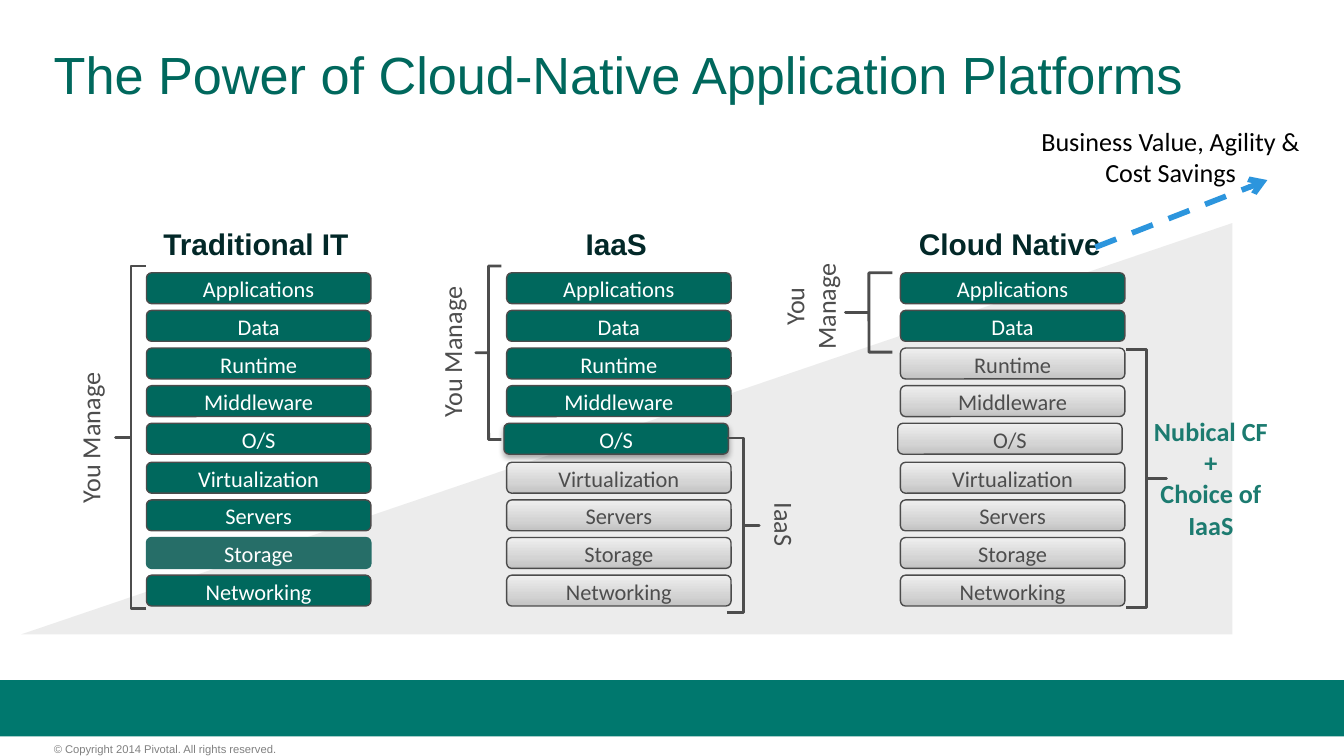
from lxml import etree
from pptx import Presentation
from pptx import util as u
from pptx.dml.color import RGBColor
from pptx.enum import dml, shapes, text
from pptx.oxml import ns, parse_xml

PX = 9144  # EMU per px, 100 px to the inch
SLIDE_WIDTH = 1000 * PX
SLIDE_HEIGHT = SLIDE_WIDTH * 9 // 16

TEAL = RGBColor(0x00, 0x68, 0x5D)
SOFT_TEAL = RGBColor(0x26, 0x6E, 0x68)
BAR_TEAL = RGBColor(0x00, 0x78, 0x6E)
LABEL_TEAL = RGBColor(0x1C, 0x7B, 0x70)
HEADING = RGBColor(0x02, 0x28, 0x28)
DARK = RGBColor(0x4D, 0x4D, 0x4D)
BORDER = RGBColor(0x4B, 0x4B, 0x4B)
GREY = RGBColor(0x80, 0x80, 0x80)
BLUE = RGBColor(0x2C, 0x95, 0xDD)
WHITE = RGBColor(0xFF, 0xFF, 0xFF)
BLACK = RGBColor(0x00, 0x00, 0x00)

LAYERS = ["Applications", "Data", "Runtime", "Middleware", "O/S",
          "Virtualization", "Servers", "Storage", "Networking"]
BLOCK_HEIGHT = 23

GRADIENT = f"""<a:gradFill {ns.nsdecls('a')} rotWithShape="1"><a:gsLst>
<a:gs pos="0"><a:srgbClr val="C2C2C2"/></a:gs>
<a:gs pos="35000"><a:srgbClr val="D4D4D4"/></a:gs>
<a:gs pos="100000"><a:srgbClr val="EFEFEF"/></a:gs>
</a:gsLst><a:lin ang="16200000" scaled="0"/></a:gradFill>"""
SHADOW = f"""<a:effectLst {ns.nsdecls('a')}>
<a:outerShdw blurRad="39370" dist="22860" dir="5400000" rotWithShape="0">
<a:srgbClr val="000000"><a:alpha val="35000"/></a:srgbClr>
</a:outerShdw></a:effectLst>"""


def emu(box):
    return [value * PX for value in box]


def within(box, offset):
    """Turn (dx, dy, width, height) inside box into slide px."""
    dx, dy, width, height = offset
    return box[0] + dx, box[1] + dy, width, height


def write(shape, lines, size, color, font="Calibri", bold=False, spacing=None,
          align=text.PP_ALIGN.CENTER, anchor=text.MSO_ANCHOR.MIDDLE, vert=None):
    frame = shape.text_frame
    frame.word_wrap = True
    frame.margin_left = frame.margin_right = 0
    frame.margin_top = frame.margin_bottom = 0
    frame.vertical_anchor = anchor
    if vert:
        frame._txBody.bodyPr.set("vert", vert)
    for index, line in enumerate(lines):
        paragraph = frame.add_paragraph() if index else frame.paragraphs[0]
        paragraph.alignment = align
        if spacing:
            paragraph.line_spacing = spacing
        run = paragraph.add_run()
        run.text = line
        run.font.name = font
        run.font.size = u.Pt(size)
        run.font.bold = bold
        run.font.color.rgb = color


def add_text(parent, box, lines, size, color, **style):
    shape = parent.add_textbox(*emu(box))
    write(shape, lines, size, color, **style)


def add_preset(parent, kind, box, fill=None, line=None, width=0.75, flip=False):
    shape = parent.add_shape(kind, *emu(box))
    shape.shadow.inherit = False
    if fill is None:
        shape.fill.background()
    else:
        shape.fill.solid()
        shape.fill.fore_color.rgb = fill
    if line is None:
        shape.line.fill.background()
    else:
        shape.line.color.rgb = line
        shape.line.width = u.Pt(width)
    if flip:
        shape._element.spPr.find(ns.qn("a:xfrm")).set("flipH", "1")
    return shape


def add_block(parent, box, name, managed, soft, raised):
    fill = SOFT_TEAL if soft else TEAL
    block = add_preset(parent, shapes.MSO_SHAPE.ROUNDED_RECTANGLE, box, fill,
                       SOFT_TEAL if soft else BORDER)
    properties = block._element.spPr
    if not managed:
        solid = properties.find(ns.qn("a:solidFill"))
        properties.replace(solid, parse_xml(GRADIENT))
    if raised:
        flat = properties.find(ns.qn("a:effectLst"))
        properties.replace(flat, parse_xml(SHADOW))
    write(block, [name], 12, WHITE if managed else DARK, spacing=0.8,
          anchor=text.MSO_ANCHOR.BOTTOM)


def add_brace(parent, box, flip):
    brace = add_preset(parent, shapes.MSO_SHAPE.LEFT_BRACE, box,
                       line=DARK, width=1.5, flip=flip)
    brace.adjustments[0] = 0
    brace.adjustments[1] = 0.5


def add_column(slide, box, heading, managed, braces, labels,
               soft="", shifted="", raised=""):
    """Stack of layers; the first `managed` ones are run by the customer."""
    parent = slide.shapes.add_group_shape().shapes
    width, height = box[2:]
    add_text(parent, within(box, (-2, -35, width, 26)), [heading], 16, HEADING,
             font="Arial", bold=True)
    step = (height - BLOCK_HEIGHT) / (len(LAYERS) - 1)
    for index, name in enumerate(LAYERS):
        dx = -2 if name == shifted else 0
        block = within(box, (dx, round(index * step), width, BLOCK_HEIGHT))
        add_block(parent, block, name, index < managed, name == soft, name == raised)
    for offset in braces:
        add_brace(parent, within(box, offset), flip=offset[0] > 0)
    for offset, lines, style in labels:
        add_text(parent, within(box, offset), lines, 14, **style)


def add_backdrop(slide, box):
    """Footer bar, copyright line and rising wedge."""
    parent = slide.shapes
    add_preset(parent, shapes.MSO_SHAPE.RECTANGLE,
               within(box, (0, 506, box[2], 42)), BAR_TEAL)
    add_text(parent, within(box, (40, 552, 249, 14)),
             ["© Copyright 2014 Pivotal. All rights reserved."], 6, GREY,
             font="Arial", align=text.PP_ALIGN.LEFT, anchor=text.MSO_ANCHOR.TOP)
    wedge = add_preset(parent, shapes.MSO_SHAPE.RIGHT_TRIANGLE,
                       within(box, (16, 166, 901, 306)), DARK, flip=True)
    color = wedge._element.spPr.find(ns.qn("a:solidFill"))[0]
    etree.SubElement(color, ns.qn("a:alpha")).set("val", "10000")


def add_value_arrow(slide, box):
    """Dashed arrow with its caption above."""
    left, top, width, height = box
    add_text(slide.shapes, (left + 4, top + 2, width - 8, 49),
             ["Business Value, Agility & Cost Savings"], 14, BLACK,
             anchor=text.MSO_ANCHOR.TOP)
    ends = (left + 54, top + height, left + 182, top + 43)
    arrow = slide.shapes.add_connector(shapes.MSO_CONNECTOR.STRAIGHT, *emu(ends))
    arrow.line.color.rgb = BLUE
    arrow.line.width = u.Pt(3)
    arrow.line.dash_style = dml.MSO_LINE.DASH
    etree.SubElement(arrow.line._get_or_add_ln(), ns.qn("a:tailEnd")).set("type", "arrow")
    etree.SubElement(arrow._element.spPr, ns.qn("a:effectLst"))


def main():
    presentation = Presentation()
    presentation.slide_width = SLIDE_WIDTH
    presentation.slide_height = SLIDE_HEIGHT
    slide = presentation.slides.add_slide(presentation.slide_layouts[6])

    add_backdrop(slide, (0, 0, 1000, 562))
    add_text(slide.shapes, (40, 33, 920, 50),
             ["The Power of Cloud-Native Application Platforms"], 28, TEAL,
             font="Arial", spacing=0.9, align=text.PP_ALIGN.LEFT)

    # Three delivery models
    upward = {"color": DARK, "vert": "vert270"}
    downward = {"color": DARK, "vert": "eaVert"}
    level = {"color": LABEL_TEAL, "bold": True}
    you = ["You Manage"]
    add_column(slide, (109, 203, 167, 248), "Traditional IT", 9,
               [(-23, -5, 23, 255)], [((-64, 63, 44, 120), you, upward)],
               soft="Storage")
    add_column(slide, (377, 203, 167, 248), "IaaS", 5,
               [(-23, -5, 19, 129), (164, 123, 24, 130)],
               [((-63, -1, 44, 120), you, upward),
                ((185, 171, 44, 50), ["IaaS"], downward)],
               shifted="O/S", raised="O/S")
    add_column(slide, (670, 203, 167, 248), "Cloud Native", 2,
               [(-41, 0, 35, 59), (168, 57, 30, 192)],
               [((-101, -19, 67, 88), you, upward),
                ((181, 105, 100, 95), ["Nubical CF", "+", "Choice of IaaS"], level)],
               shifted="O/S")

    add_value_arrow(slide, (761, 91, 220, 93))
    presentation.save("out.pptx")


if __name__ == "__main__":
    main()
